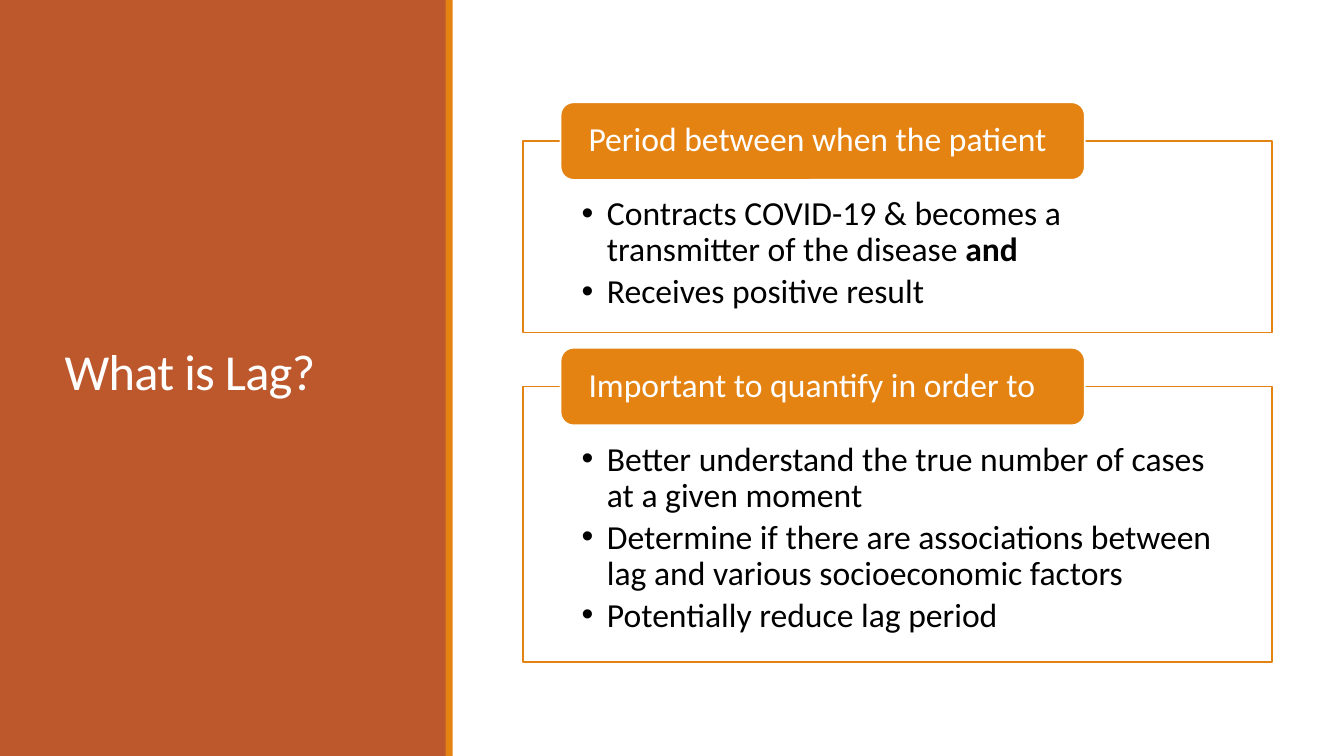
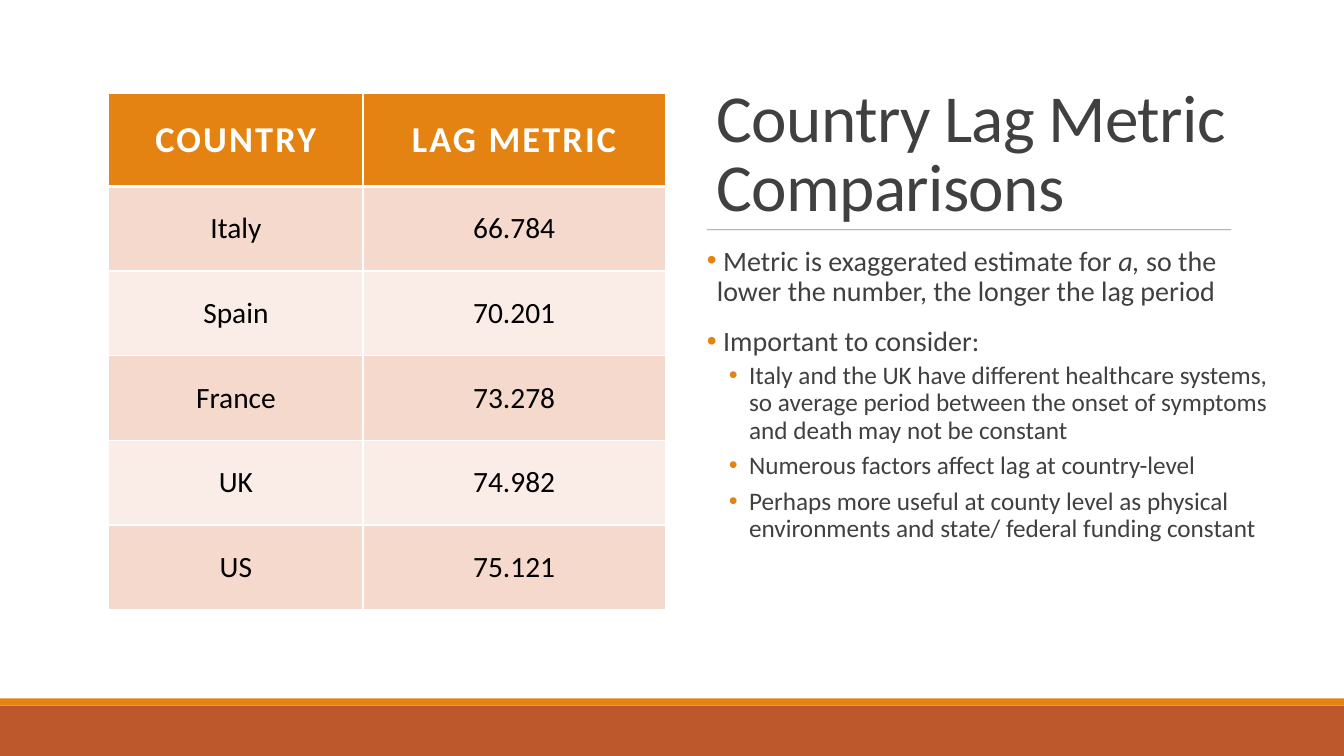
from pptx import Presentation
from pptx.dml.color import RGBColor
from pptx.enum.shapes import MSO_CONNECTOR, MSO_SHAPE
from pptx.enum.text import MSO_ANCHOR, MSO_AUTO_SIZE, PP_ALIGN
from pptx.oxml.ns import qn
from pptx.util import Inches, Pt
from lxml.etree import SubElement

RUST = RGBColor(0xBD, 0x58, 0x2C)
ORANGE = RGBColor(0xE4, 0x83, 0x12)
WHITE = RGBColor(0xFF, 0xFF, 0xFF)
BLACK = RGBColor(0x00, 0x00, 0x00)
DARK = RGBColor(0x40, 0x40, 0x40)
GREY = RGBColor(0x80, 0x80, 0x80)
PEACH = RGBColor(0xF5, 0xD9, 0xCC)
PALE = RGBColor(0xFA, 0xED, 0xE7)

BOX_ITEM = {"line_spacing": 0.9, "space_after": Pt(4)}
BODY_ITEM = {"line_spacing": 0.9, "space_before": Pt(12), "space_after": Pt(2)}
SUB_ITEM = {"line_spacing": 0.9, "space_before": Pt(2), "space_after": Pt(4)}


class Deck:
    font = "Calibri"

    def __init__(self):
        self.prs = Presentation()
        self.prs.slide_width = Inches(13.33)
        self.prs.slide_height = Inches(7.5)

    def slide(self):
        self.s = self.prs.slides.add_slide(self.prs.slide_layouts[5])

    def set_all(self, obj, formats):
        for name, value in formats.items():
            setattr(obj, name, value)

    def frame(self, tf, anchor, margins):
        sides = ("margin_left", "margin_top", "margin_right", "margin_bottom")
        self.set_all(tf, {"word_wrap": True, "auto_size": MSO_AUTO_SIZE.NONE, "vertical_anchor": anchor})
        self.set_all(tf, {side: Inches(m) for side, m in zip(sides, margins)})

    def paragraph(self, p, parts, size, color, spacing=0, align=PP_ALIGN.LEFT, **formats):
        self.set_all(p, {"alignment": align, **formats})
        for text, style in parts:
            r = p.add_run()
            r.text = text
            self.set_all(r.font, {"name": self.font, "size": Pt(size), **style})
            r.font.color.rgb = color
            if spacing:
                r._r.get_or_add_rPr().set("spc", str(int(spacing * 100)))

    def bullet(self, p, indent, hang, color):
        pPr = p._p.get_or_add_pPr()
        pPr.set("marL", str(Inches(indent)))
        pPr.set("indent", str(-Inches(hang)))
        clr = SubElement(pPr, qn("a:buClr"))
        SubElement(clr, qn("a:srgbClr"), val=str(color))
        SubElement(pPr, qn("a:buFont"), typeface="Arial")
        SubElement(pPr, qn("a:buChar"), char="•")

    def shape(self, kind, x, y, w, h, fill, line=None):
        sp = self.s.shapes.add_shape(kind, Inches(x), Inches(y), Inches(w), Inches(h))
        sp.shadow.inherit = False
        sp.fill.solid()
        sp.fill.fore_color.rgb = fill
        if line is None:
            sp.line.fill.background()
        else:
            sp.line.color.rgb = line
            sp.line.width = Pt(1.25)
        return sp

    def bands(self, panel, stripe):
        for place, color in ((panel, RUST), (stripe, ORANGE)):
            self.shape(MSO_SHAPE.RECTANGLE, *place, color)

    def title(self, text, x, y, w, h, size, color, anchor):
        sp = self.s.shapes.title
        self.s.shapes.element.append(sp.element)
        self.set_all(sp, {"left": Inches(x), "top": Inches(y), "width": Inches(w), "height": Inches(h)})
        self.frame(sp.text_frame, anchor, (0.1, 0.05, 0.1, 0.05))
        self.paragraph(sp.text_frame.paragraphs[0], [(text, {})], size, color, -0.5, line_spacing=0.85)

    def bullets(self, tf, items):
        for i, (parts, size, color, indent, hang, dot, formats) in enumerate(items):
            p = tf.add_paragraph() if i else tf.paragraphs[0]
            self.paragraph(p, parts, size, color, **formats)
            self.bullet(p, indent, hang, dot)

    def topic(self, heading, items, y, h):
        tab_h = 0.77
        box = self.shape(MSO_SHAPE.RECTANGLE, 5.19, y, 7.43, h, WHITE, ORANGE)
        self.frame(box.text_frame, MSO_ANCHOR.TOP, (0.58, 0.55, 0.58, 0.19))
        self.bullets(box.text_frame, [(parts, 24, BLACK, 0.25, 0.25, BLACK, BOX_ITEM) for parts in items])
        tab = self.shape(MSO_SHAPE.ROUNDED_RECTANGLE, 5.56, y - tab_h / 2, 5.2, tab_h, ORANGE, WHITE)
        self.frame(tab.text_frame, MSO_ANCHOR.MIDDLE, (0.24, 0, 0.24, 0))
        self.paragraph(tab.text_frame.paragraphs[0], [(heading, {})], 24, WHITE, line_spacing=0.9)
        return y + h + 0.15 + tab_h / 2

    def text(self, x, y, w, h, items):
        tf = self.s.shapes.add_textbox(Inches(x), Inches(y), Inches(w), Inches(h)).text_frame
        self.frame(tf, MSO_ANCHOR.TOP, (0, 0.05, 0, 0.05))
        self.bullets(tf, items)

    def rule(self, x1, x2, y):
        line = self.s.shapes.add_connector(MSO_CONNECTOR.STRAIGHT, Inches(x1), Inches(y), Inches(x2), Inches(y))
        line.line.color.rgb = GREY
        line.line.width = Pt(0.5)
        spPr = line._element.spPr
        SubElement(next(spPr.iter(qn("a:srgbClr"))), qn("a:alpha"), val="90000")
        SubElement(spPr, qn("a:effectLst"))

    def borders(self, cell, bottom):
        tcPr = cell._tc.get_or_add_tcPr()
        for i, (side, width) in enumerate((("L", 1), ("R", 1), ("T", 1), ("B", bottom))):
            ln = SubElement(tcPr, qn(f"a:ln{side}"), w=str(Pt(width)))
            fill = SubElement(ln, qn("a:solidFill"))
            SubElement(fill, qn("a:srgbClr"), val=str(WHITE))
            tcPr.insert(i, ln)

    def table(self, x, y, widths, heights, rows):
        table = self.s.shapes.add_table(len(rows), len(widths), Inches(x), Inches(y),
                                        Inches(sum(widths)), Inches(sum(heights))).table
        for col, width in zip(table.columns, widths):
            col.width = Inches(width)
        for i, values in enumerate(rows):
            table.rows[i].height = Inches(heights[i])
            head = i == 0
            for cell, value in zip(table.rows[i].cells, values):
                cell.fill.solid()
                cell.fill.fore_color.rgb = ORANGE if head else PEACH if i % 2 else PALE
                self.set_all(cell, {"vertical_anchor": MSO_ANCHOR.MIDDLE,
                                    "margin_top": Inches(0.2), "margin_bottom": Inches(0.2)})
                size, color, spacing = (26, WHITE, 1.5) if head else (21, BLACK, 0)
                self.paragraph(cell.text_frame.paragraphs[0], [(value, {"bold": head})],
                               size, color, spacing, PP_ALIGN.CENTER)
                self.borders(cell, 3 if head else 1)


def lag_slide(deck):
    deck.slide()
    deck.bands((0, 0, 4.43, 7.5), (4.42, 0, 0.07, 7.5))
    deck.title("What is Lag?", 0.54, 0.57, 3.37, 6.31, 36, WHITE, MSO_ANCHOR.MIDDLE)
    y = deck.topic("Period between when the patient", [
        [("Contracts COVID-19 & becomes a transmitter of the disease ", {}), ("and", {"bold": True})],
        [("Receives positive result", {})],
    ], 1.4, 1.9)
    deck.topic("Important to quantify in order to", [
        [("Better understand the true number of cases at a given moment", {})],
        [("Determine if there are associations between lag and various socioeconomic factors", {})],
        [("Potentially reduce lag period", {})],
    ], y, 2.73)


def comparison_slide(deck):
    deck.slide()
    deck.bands((0, 7, 13.33, 0.5), (0, 6.93, 13.33, 0.07))
    deck.title("Country Lag Metric Comparisons", 7.01, 0.69, 5.61, 1.59, 48, DARK, MSO_ANCHOR.BOTTOM)
    deck.rule(7.01, 12.21, 2.28)
    points = [
        [(" Metric is exaggerated estimate for ", {}), ("a,", {"italic": True}),
         (" so the lower the number, the longer the lag period", {})],
        [(" Important to consider:", {})],
    ]
    details = [
        "Italy and the UK have different healthcare systems, so average period between "
        "the onset of symptoms and death may not be constant",
        "Numerous factors affect lag at country-level",
        "Perhaps more useful at county level as physical environments and state/ federal funding constant",
    ]
    items = [(parts, 20, DARK, 0.1, 0.1, ORANGE, BODY_ITEM) for parts in points]
    items += [([(text, {})], 18, DARK, 0.42, 0.2, ORANGE, SUB_ITEM) for text in details]
    deck.text(7.01, 2.4, 5.61, 4.01, items)
    deck.table(1.08, 0.93, [2.52, 3], [0.92] + [0.84] * 5, [
        ("COUNTRY", "LAG METRIC"),
        ("Italy", "66.784"),
        ("Spain", "70.201"),
        ("France", "73.278"),
        ("UK", "74.982"),
        ("US", "75.121"),
    ])


def main():
    deck = Deck()
    lag_slide(deck)
    comparison_slide(deck)
    deck.prs.save("out.pptx")


if __name__ == "__main__":
    main()
